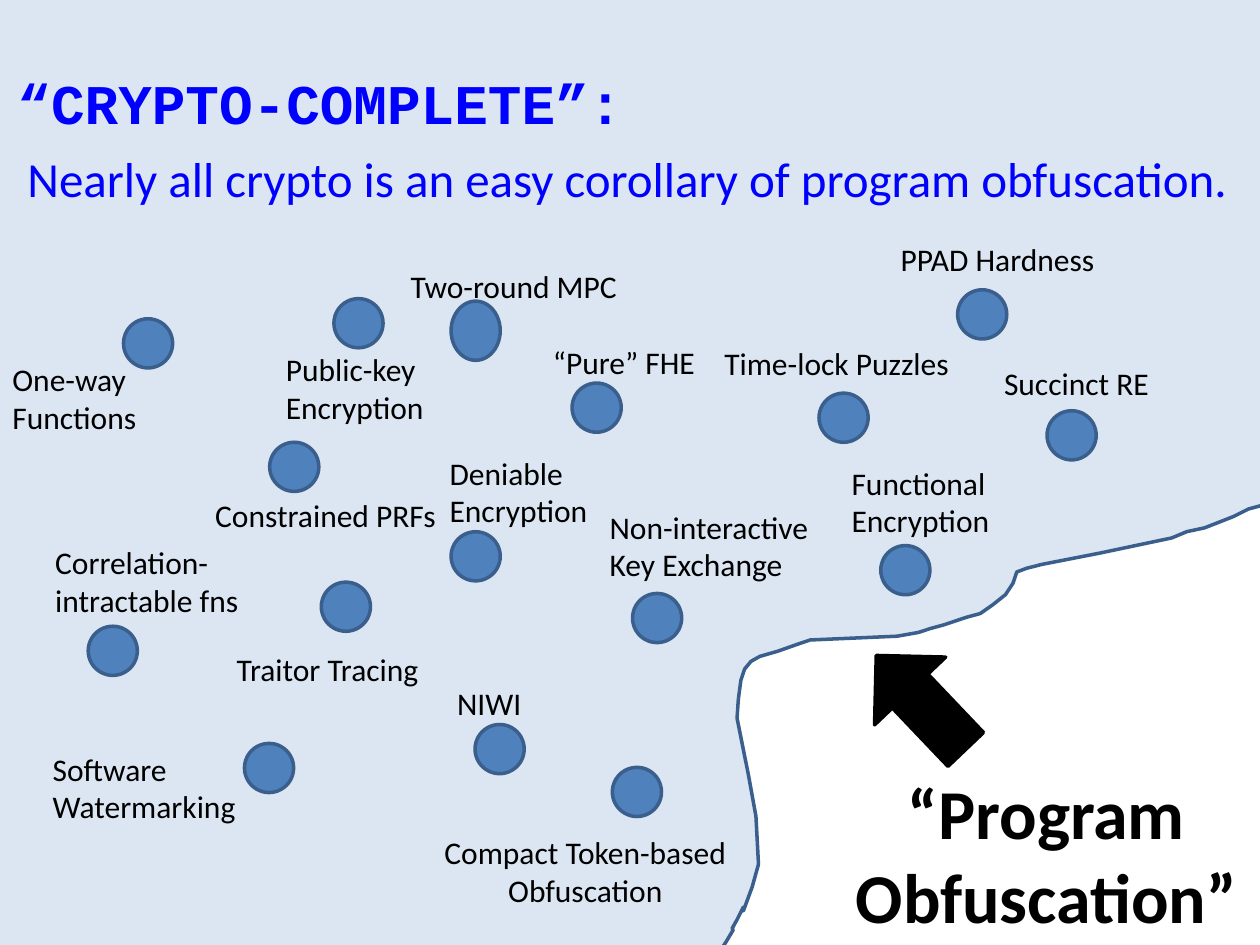
from dataclasses import dataclass

from pptx import Presentation
from pptx import util as u
from pptx.dml.color import RGBColor
from pptx.enum import shapes, text


@dataclass(frozen=True)
class Theme:
    land: RGBColor = RGBColor(0xDC, 0xE6, 0xF2)
    dot: RGBColor = RGBColor(0x4F, 0x81, 0xBD)
    outline: RGBColor = RGBColor(0x3A, 0x5F, 0x8C)
    heading: RGBColor = RGBColor(0x00, 0x00, 0xFF)
    ink: RGBColor = RGBColor(0x00, 0x00, 0x00)
    body_font: str = "Calibri"
    title_font: str = "Courier New"
    label_size: int = 18
    subtitle_size: int = 28
    title_size: int = 32
    goal_size: int = 40


theme = Theme()
presentation = Presentation()
presentation.slide_width = u.Inches(10)
presentation.slide_height = u.Inches(7.5)
slide = presentation.slides.add_slide(presentation.slide_layouts[6])


def add_text(words, left, top, width, height, size=theme.label_size, font=theme.body_font,
             color=theme.ink, bold=False, align=text.PP_ALIGN.LEFT,
             anchor=text.MSO_ANCHOR.TOP, fit=text.MSO_AUTO_SIZE.SHAPE_TO_FIT_TEXT):
    box = slide.shapes.add_textbox(*map(u.Inches, (left, top, width, height)))
    frame = box.text_frame
    frame.word_wrap = True
    frame.auto_size = fit
    frame.vertical_anchor = anchor
    frame.text = words
    for paragraph in frame.paragraphs:
        paragraph.alignment = align
        for run in paragraph.runs:
            run.font.name = font
            run.font.size = u.Pt(size)
            run.font.bold = bold
            run.font.color.rgb = color


def paint(shape, fill, line):
    shape.shadow.inherit = False
    shape.fill.solid()
    shape.fill.fore_color.rgb = fill
    shape.line.color.rgb = line
    shape.line.width = u.Pt(2)


coast = [
    (4.84, 8.37), (4.98, 8.2), (5.13, 8.07), (5.22, 8.05), (5.42, 7.9), (5.6, 7.72),
    (5.76, 7.48), (5.82, 7.38), (5.81, 7.37), (5.85, 7.3), (5.9, 7.2), (5.9, 7.23),
    (5.97, 7.04), (6.02, 6.86), (6, 6.48), (5.94, 6.15), (5.85, 5.7), (5.86, 5.55),
    (5.88, 5.4), (5.91, 5.31), (5.96, 5.25), (6.03, 5.21), (6.17, 5.17), (6.34, 5.11),
    (6.43, 5.08), (7.12, 5.05), (7.29, 5.02), (7.38, 4.99), (7.49, 4.96), (7.67, 4.9),
    (7.78, 4.87), (7.88, 4.8), (7.98, 4.72), (8.04, 4.63), (8.07, 4.54), (8.15, 4.51),
    (8.27, 4.48), (8.73, 4.39), (9.3, 4.27), (9.42, 4.22), (9.56, 4.19), (9.79, 4.1),
    (9.91, 4.04), (10.02, 4.01), (10.2, 3.89), (10.37, 3.74), (10.6, 3.27), (10.68, 2.26),
]
surround = [(10.68, -1.84), (-2.8, -1.84), (-2.8, 9.26), (4.3, 9.26)]
builder = slide.shapes.build_freeform(
    u.Inches(coast[0][0]), u.Inches(coast[0][1]))
builder.add_line_segments(
    [(u.Inches(x), u.Inches(y)) for x, y in coast[1:] + surround], close=True)
paint(builder.convert_to_shape(), theme.land, theme.outline)

dot_size = 0.39
dots = [
    (2.14, 3.51), (3.58, 4.22), (2.55, 4.62), (6.5, 3.12), (5.02, 4.71), (7.6, 2.3),
    (6.99, 4.33), (4.86, 6.09), (0.98, 2.53), (2.65, 2.37), (1.94, 5.9), (4.54, 3.04),
    (3.77, 5.75), (0.7, 4.97), (8.31, 3.26),
]
ovals = [(left, top, dot_size, dot_size) for left, top in dots]
ovals.append((3.58, 2.39, dot_size, 0.47))
for oval in ovals:
    dot = slide.shapes.add_shape(shapes.MSO_SHAPE.OVAL, *map(u.Inches, oval))
    paint(dot, theme.dot, theme.outline)

one_line, two_lines = 0.4, 0.71
labels = [
    ("Functional\nEncryption", 6.66, 3.63, 1.82, two_lines),
    ("One-way\vFunctions", 0, 2.81, 1.51, two_lines),
    ("Public-key\nEncryption", 2.17, 2.73, 1.48, two_lines),
    ("Deniable\vEncryption", 3.47, 3.55, 1.44, two_lines),
    ("PPAD Hardness", 7.05, 1.86, 1.81, one_line),
    ("Correlation-intractable fns", 0.34, 4.26, 1.8, two_lines),
    ("Non-interactive\nKey Exchange", 4.74, 3.98, 2.08, two_lines),
    ("Time-lock Puzzles", 5.65, 2.68, 2.08, one_line),
    ("Software Watermarking", 0.32, 5.9, 1.8, two_lines),
    ("Constrained PRFs", 1.61, 3.89, 2.02, one_line),
    ("Two-round MPC", 3.16, 2.07, 2.05, one_line),
    ("“Pure” FHE", 4.29, 2.67, 2.05, one_line),
    ("NIWI", 3.53, 5.38, 2.05, one_line),
    ("Traitor Tracing", 1.78, 5.11, 1.8, one_line),
    ("Succinct RE", 7.87, 2.84, 1.81, one_line),
]
for label in labels:
    add_text(*label)
add_text("Compact Token-based\vObfuscation", 3.39, 6.56, 2.51, two_lines,
         align=text.PP_ALIGN.CENTER)

arrow = slide.shapes.add_shape(
    shapes.MSO_SHAPE.UP_ARROW, *map(u.Inches, (6.92, 5.06, 0.78, 1.03)))
arrow.rotation = 316.4
paint(arrow, theme.ink, theme.ink)

add_text("“Program Obfuscation”", 6.36, 6.06, 3.89, 1.71, size=theme.goal_size, bold=True,
         align=text.PP_ALIGN.CENTER, fit=text.MSO_AUTO_SIZE.NONE)
add_text("“CRYPTO-COMPLETE”:", 0.04, 0.5, 7.01, 0.62, size=theme.title_size,
         font=theme.title_font, color=theme.heading, bold=True,
         anchor=text.MSO_ANCHOR.MIDDLE, fit=text.MSO_AUTO_SIZE.NONE)
add_text("Nearly all crypto is an easy corollary of program obfuscation.",
         0.12, 1.13, 9.84, 0.57, size=theme.subtitle_size, color=theme.heading)

presentation.save("out.pptx")
